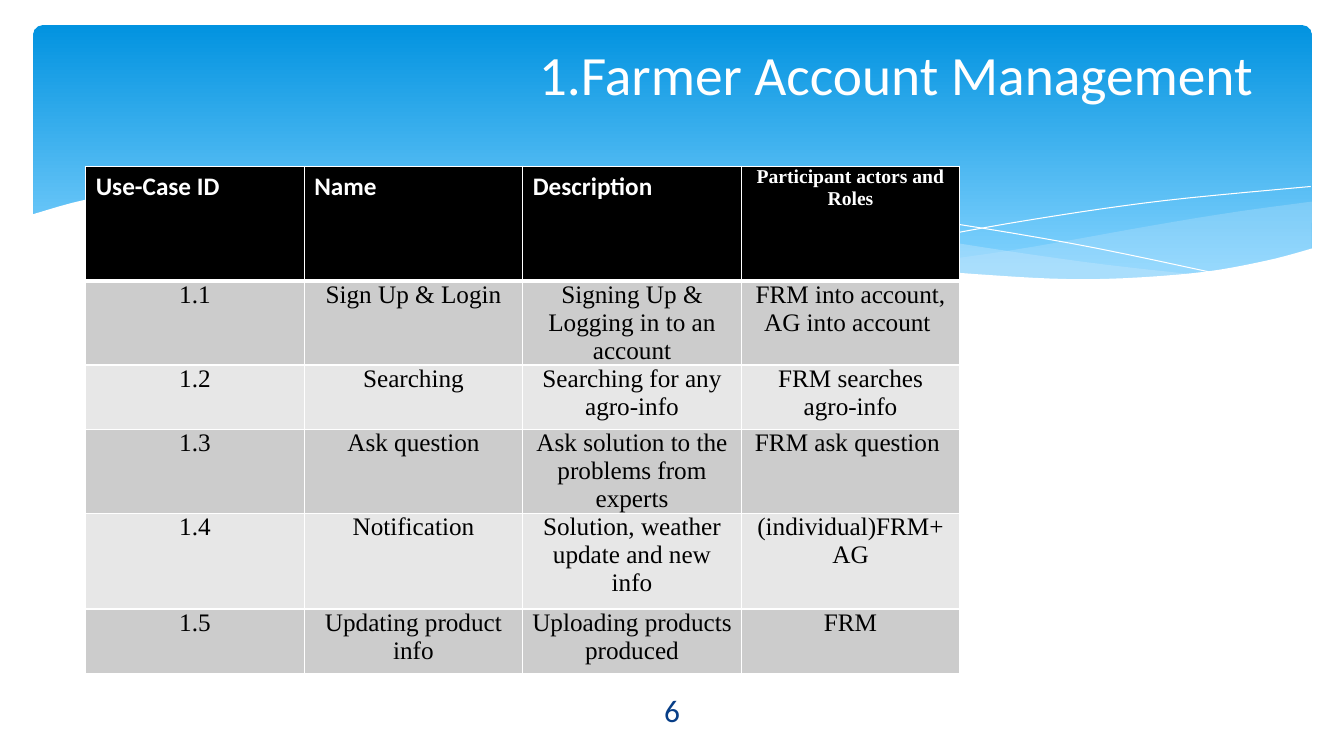
from lxml.etree import SubElement
from pptx import Presentation
from pptx.dml.color import RGBColor
from pptx.enum.shapes import MSO_SHAPE
from pptx.enum.text import MSO_ANCHOR, MSO_AUTO_SIZE, PP_ALIGN
from pptx.oxml.ns import qn
from pptx.util import Inches, Pt

COLORS = {
    "sky_top": "0293E0", "sky_bottom": "83D3FE", "wave": "C6E7FC",
    "white": "FFFFFF", "black": "000000", "number": "073E87",
    "odd_row": "CCCCCC", "even_row": "E7E7E7",
}
TITLE = "1.Farmer Account Management"
NUMBER = "6"
HEADINGS = ("Use-Case ID", "Name", "Description", "Participant actors and Roles")
USE_CASES = [
    ("1.1", "Sign Up & Login", "Signing Up & Logging in to an account",
     "FRM into account,\nAG into account "),
    ("1.2", "Searching", "Searching for any agro-info", "FRM searches agro-info"),
    ("1.3", "Ask question", "Ask solution to the problems from experts",
     "FRM ask question "),
    ("1.4", "Notification", "Solution, weather update and new info",
     "(individual)FRM+AG"),
    ("1.5", "Updating product info", "Uploading products produced", "FRM"),
]
ROW_HEIGHTS = (1.14, 0.64, 0.64, 0.64, 0.95, 0.64)

SKY_BOX = (0.33, 0.25, 12.68, 2.7)
TABLE_BOX = (0.85, 1.65, 8.67, sum(ROW_HEIGHTS))
NUMBER_BOX = (5.82, 6.84, 1.69, 0.4)
TITLE_BOX = (0.67, 0.37, 12, 1.37)

HEADING_STYLE = {"font": "Calibri", "size": 18, "color": "white", "bold": True,
                 "align": PP_ALIGN.LEFT, "margins": (0.1, 0.05)}
ROLES_STYLE = {"font": "Times New Roman", "size": 14, "color": "white", "bold": True,
               "align": PP_ALIGN.CENTER, "margins": (0.12, 0)}
BODY_STYLE = {"font": "Times New Roman", "size": 18, "color": "black", "bold": False,
              "align": PP_ALIGN.CENTER, "margins": (0.08, 0)}

RIGHT_WAVE_TOP = [(13.01, 2), (12.27, 2.1), (11.47, 2.23), (10.05, 2.48), (8.82, 2.65)]
RIGHT_WAVE_BOTTOM = [(8.82, 2.65), (9.76, 2.74), (10.71, 2.78), (11.63, 2.74),
                     (12.38, 2.63), (13.01, 2.47)]
MIDDLE_WAVE_TOP = [(11.9, 2.73), (10.76, 2.6), (9.41, 2.4), (8.39, 2.22), (7.21, 2.03),
                   (6.19, 1.91), (5.06, 1.85), (3.82, 1.91)]
MIDDLE_WAVE_BOTTOM = [(3.82, 1.91), (4.83, 2.03), (5.99, 2.22), (7.06, 2.4),
                      (8.24, 2.58), (9.45, 2.72), (10.76, 2.78), (11.9, 2.73)]
FALLING_LINE = [(4.12, 1.95), (5.16, 1.87), (6.25, 1.89), (7.42, 1.97), (8.86, 2.13),
                (10.6, 2.41), (12.1, 2.72)]
RISING_LINE = [(8.18, 2.57), (9.27, 2.35), (10.35, 2.16), (11.55, 1.99), (13, 1.85)]
PAGE_EDGE = [(0.31, 2.13), (1.01, 1.95), (2.14, 1.84), (3.33, 1.86), (4.53, 1.97),
             (5.96, 2.2), (7.4, 2.45), (8.63, 2.62), (9.69, 2.72), (10.78, 2.77),
             (11.83, 2.71), (12.54, 2.59), (13.03, 2.46)]
PAGE_CORNERS = [(13.03, 3.29), (0.31, 3.29)]
STEPS = 6


def rgb(name):
    return RGBColor.from_string(COLORS[name])


def inches(values):
    return [Inches(value) for value in values]


def blend(before, start, end, after, t):
    return (start + t * (end - before) / 2
            + t ** 2 * (2 * before - 5 * start + 4 * end - after) / 2
            + t ** 3 * (3 * start - before - 3 * end + after) / 2)


def curve(knots):
    padded = [knots[0], *knots, knots[-1]]
    points = [knots[0]]
    for four in zip(padded, padded[1:], padded[2:], padded[3:]):
        for step in range(1, STEPS + 1):
            points.append(tuple(blend(*axis, step / STEPS) for axis in zip(*four)))
    return points


def add_outline(s, points, close):
    start, *rest = [inches(point) for point in points]
    builder = s.shapes.build_freeform(*start, scale=1.0)
    builder.add_line_segments(rest, close=close)
    sp = builder.convert_to_shape()
    sp.shadow.inherit = False
    return sp


def add_area(s, points, color, opacity=100):
    sp = add_outline(s, points, True)
    sp.line.fill.background()
    sp.fill.solid()
    sp.fill.fore_color.rgb = rgb(color)
    if opacity < 100:
        fill = sp._element.spPr.find(qn("a:solidFill"))
        SubElement(fill[0], qn("a:alpha"), val=str(opacity * 1000))


def add_hairline(s, points):
    sp = add_outline(s, points, False)
    sp.fill.background()
    sp.line.color.rgb = rgb("white")
    sp.line.width = Pt(0)


def add_sky(s):
    sp = s.shapes.add_shape(MSO_SHAPE.ROUNDED_RECTANGLE, *inches(SKY_BOX))
    sp.adjustments[0] = 0.034
    sp.shadow.inherit = False
    sp.line.fill.background()
    sp.fill.gradient()
    sp.fill.gradient_angle = 270
    stops = zip(sp.fill.gradient_stops, ("sky_top", "sky_bottom"), (0, 0.9))
    for stop, color, position in stops:
        stop.color.rgb = rgb(color)
        stop.position = position


def add_waves(s):
    add_area(s, curve(RIGHT_WAVE_TOP) + curve(RIGHT_WAVE_BOTTOM), "wave", 29)
    add_area(s, curve(MIDDLE_WAVE_TOP) + curve(MIDDLE_WAVE_BOTTOM), "wave", 40)
    for knots in (FALLING_LINE, RISING_LINE):
        add_hairline(s, curve(knots))
    add_area(s, curve(PAGE_EDGE) + PAGE_CORNERS, "white")


def add_run(p, text, font, size, color, bold=False):
    r = p.add_run()
    r.text = text
    r.font.name, r.font.size, r.font.bold = font, Pt(size), bold
    r.font.color.rgb = rgb(color)


def set_borders(cell, bottom):
    tcPr = cell._tc.get_or_add_tcPr()
    for side, width in (("L", 1), ("R", 1), ("T", 1), ("B", bottom)):
        ln = SubElement(tcPr, qn("a:ln" + side), w=str(Pt(width)))
        fill = SubElement(ln, qn("a:solidFill"))
        SubElement(fill, qn("a:srgbClr"), val=COLORS["white"])


def fill_cell(cell, text, style, background, bottom):
    set_borders(cell, bottom)
    cell.fill.solid()
    cell.fill.fore_color.rgb = rgb(background)
    side, edge = inches(style["margins"])
    cell.margin_left = cell.margin_right = side
    cell.margin_top = cell.margin_bottom = edge
    tf = cell.text_frame
    for i, line in enumerate(text.split("\n")):
        p = tf.add_paragraph() if i else tf.paragraphs[0]
        p.alignment = style["align"]
        add_run(p, line, style["font"], style["size"], style["color"], style["bold"])


def add_use_cases(s):
    table = s.shapes.add_table(len(ROW_HEIGHTS), len(HEADINGS),
                               *inches(TABLE_BOX)).table
    for row, height in zip(table.rows, ROW_HEIGHTS):
        row.height = Inches(height)
    for col, heading in enumerate(HEADINGS):
        is_roles = col == len(HEADINGS) - 1
        style = ROLES_STYLE if is_roles else HEADING_STYLE
        fill_cell(table.cell(0, col), heading, style, "black", 3)
    for row, use_case in enumerate(USE_CASES, 1):
        background = "odd_row" if row % 2 else "even_row"
        for col, text in enumerate(use_case):
            fill_cell(table.cell(row, col), text, BODY_STYLE, background, 1)


def add_number(s):
    tf = s.shapes.add_textbox(*inches(NUMBER_BOX)).text_frame
    tf.word_wrap = True
    tf.vertical_anchor = MSO_ANCHOR.MIDDLE
    p = tf.paragraphs[0]
    p.alignment = PP_ALIGN.CENTER
    add_run(p, NUMBER, "Calibri", 22.4, "number")


def set_title(s):
    sp = s.shapes.title
    sp.left, sp.top, sp.width, sp.height = inches(TITLE_BOX)
    tf = sp.text_frame
    tf.auto_size = MSO_AUTO_SIZE.NONE
    tf.vertical_anchor = MSO_ANCHOR.TOP
    tf.margin_top, tf.margin_right = inches((0.03, 0.24))
    p = tf.paragraphs[0]
    p.alignment = PP_ALIGN.RIGHT
    add_run(p, TITLE, "Calibri", 39.6, "white")
    s.shapes._spTree.append(sp._element)


def main():
    prs = Presentation()
    prs.slide_width, prs.slide_height = inches((13.33, 7.5))
    s = prs.slides.add_slide(prs.slide_layouts[5])
    for add_part in (add_sky, add_waves, add_use_cases, add_number, set_title):
        add_part(s)
    prs.save("out.pptx")


if __name__ == "__main__":
    main()
